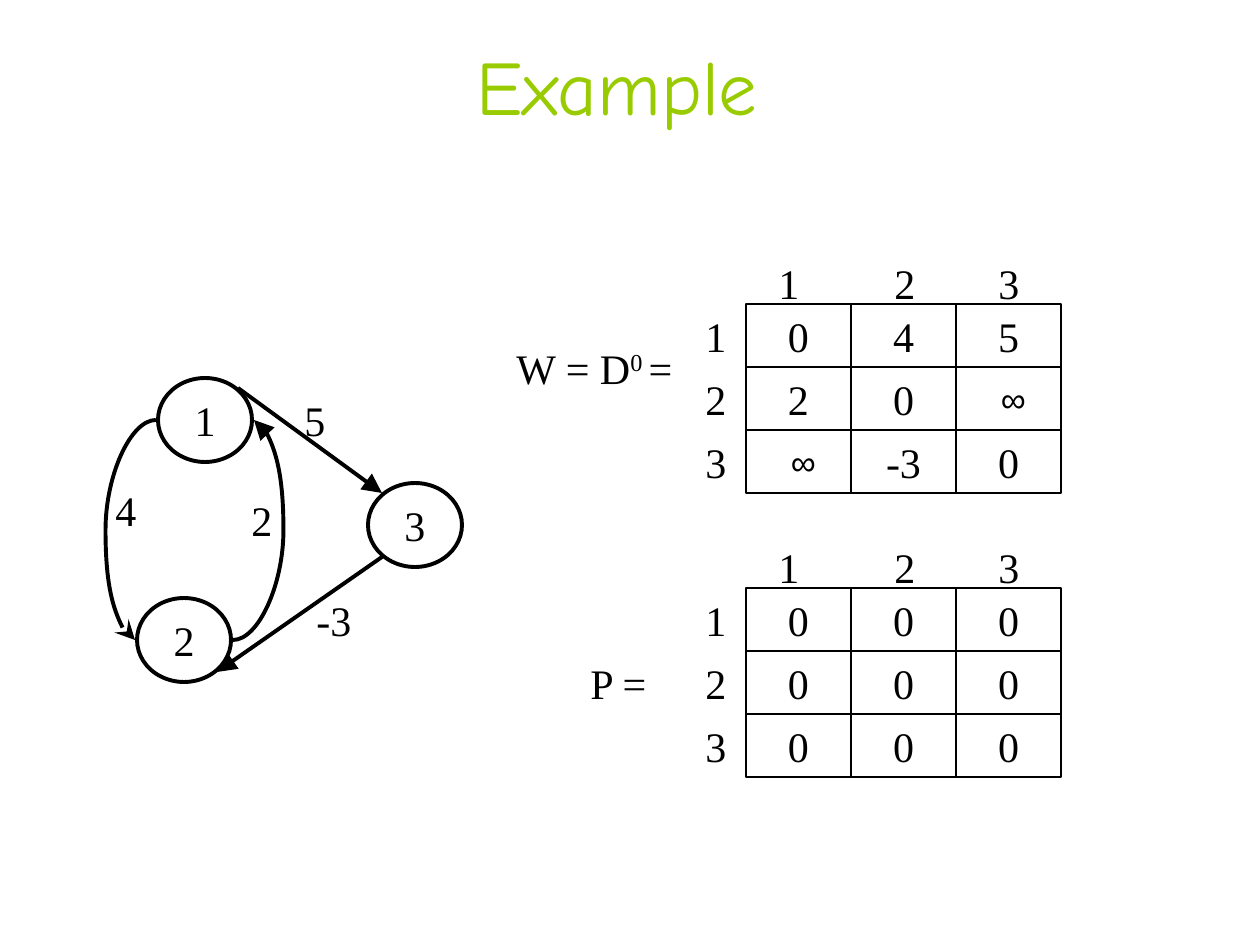
"""Build the slide with a three-node weighted graph and its distance and path matrices."""
from dataclasses import dataclass
from pptx import Presentation
from pptx.dml.color import RGBColor
from pptx.enum.shapes import MSO_CONNECTOR as LINK, MSO_SHAPE as SHAPE
from pptx.enum.text import MSO_ANCHOR as ANCHOR, PP_ALIGN as ALIGN
from pptx.oxml import parse_xml
from pptx.oxml.ns import nsdecls
from pptx.util import Pt


@dataclass(frozen=True)
class Theme:
    ink: RGBColor = RGBColor(0, 0, 0)
    accent: RGBColor = RGBColor(0x99, 0xCC, 0x00)
    body_font: str = "Times New Roman"
    title_font: str = "Comic Neue"
    symbol_font: str = "Arial"
    body: int = 24
    title: int = 44
    symbol: int = 20
    stroke: float = 2.25
    border: float = 1


theme = Theme()
PX = 914400 / 126


def px(*lengths):
    return [round(length * PX) for length in lengths]


def write(frame, text, size=theme.body, font=theme.body_font, color=theme.ink, align=ALIGN.LEFT):
    frame.text = text
    frame.word_wrap = False
    paragraph = frame.paragraphs[0]
    paragraph.alignment = align
    for run in paragraph.runs:
        run.font.size, run.font.name, run.font.color.rgb = Pt(size), font, color


deck = Presentation()
deck.slide_width, deck.slide_height = px(1260, 945)
slide = deck.slides.add_slide(deck.slide_layouts[6])
shapes = slide.shapes

heading = shapes.add_textbox(*px(63, 38, 1134, 94)).text_frame
heading.vertical_anchor = ANCHOR.MIDDLE
write(heading, "Example ", theme.title, theme.title_font, theme.accent, ALIGN.CENTER)

labels = [
    ("P =", 578, 651, 83),
    ("5", 292, 388, 47),
    ("-3", 304, 588, 60),
    ("2", 239, 488, 47),
    ("4", 103, 478, 47),
]
outlines = [
    (SHAPE.OVAL, "1", 158, 378, 94, 84, theme.stroke),
    (SHAPE.OVAL, "2", 137, 598, 94, 84, theme.stroke),
    (SHAPE.OVAL, "3", 368, 483, 94, 84, theme.stroke),
]

matrix_left, cell_width, cell_height = 746, 105, 63
matrices = [
    (304, [["0", "4", "5"], ["2", "0", " ∞"], [" ∞", "-3", "0"]]),
    (588, [["0"] * 3] * 3),
]
for matrix_top, values in matrices:
    for row, row_values in enumerate(values):
        row_top = matrix_top + row * cell_height
        for column, value in enumerate(row_values):
            outlines.append((SHAPE.RECTANGLE, value, matrix_left + column * cell_width,
                             row_top, cell_width, cell_height, theme.border))
        labels.append((str(row + 1), 693, row_top, 47))
    for column, column_left in enumerate((766, 882, 986)):
        labels.append((str(column + 1), column_left, matrix_top - 53, 47))

for kind, value, left, top, width, height, weight in outlines:
    outline = shapes.add_shape(kind, *px(left, top, width, height))
    outline.shadow.inherit = False
    outline.fill.background()
    outline.line.color.rgb, outline.line.width = theme.ink, Pt(weight)
    outline.text_frame.vertical_anchor = ANCHOR.MIDDLE
    size, font = theme.body, theme.body_font
    if "∞" in value:
        size, font = theme.symbol, theme.symbol_font
    write(outline.text_frame, value, size, font, align=ALIGN.CENTER)

for text, left, top, width in labels:
    write(shapes.add_textbox(*px(left, top, width, 63)).text_frame, text)

distance = shapes.add_textbox(*px(504, 336, 185, 63)).text_frame
write(distance, "W = D")
for part, baseline in (("0 ", "30000"), ("=", "0")):
    run = distance.paragraphs[0].add_run()
    run.text = part
    run.font.size, run.font.name = Pt(theme.body), theme.body_font
    run.font.color.rgb = theme.ink
    run.font._element.set("baseline", baseline)

edges = [
    (LINK.STRAIGHT, (238, 388, 382, 493), "tailEnd", "triangle", None),
    (LINK.STRAIGHT, (382, 557, 217, 672), "tailEnd", "triangle", None),
    (LINK.CURVE, (135, 640, 156, 420), "headEnd", "stealth", -140600),
    (LINK.CURVE, (233, 640, 254, 420), "tailEnd", "triangle", 240600),
]
for kind, ends, arrow_end, arrow, bend in edges:
    edge = shapes.add_connector(kind, *px(*ends))
    edge.line.color.rgb, edge.line.width = theme.ink, Pt(theme.stroke)
    edge.line._get_or_add_ln().append(
        parse_xml(f'<a:{arrow_end} {nsdecls("a")} type="{arrow}" w="lg" len="lg"/>'))
    properties = edge._element.spPr
    properties.append(parse_xml(f'<a:effectLst {nsdecls("a")}/>'))
    if bend is not None:
        properties.prstGeom.get_or_add_avLst().append(
            parse_xml(f'<a:gd {nsdecls("a")} name="adj1" fmla="val {bend}"/>'))

deck.save("out.pptx")
